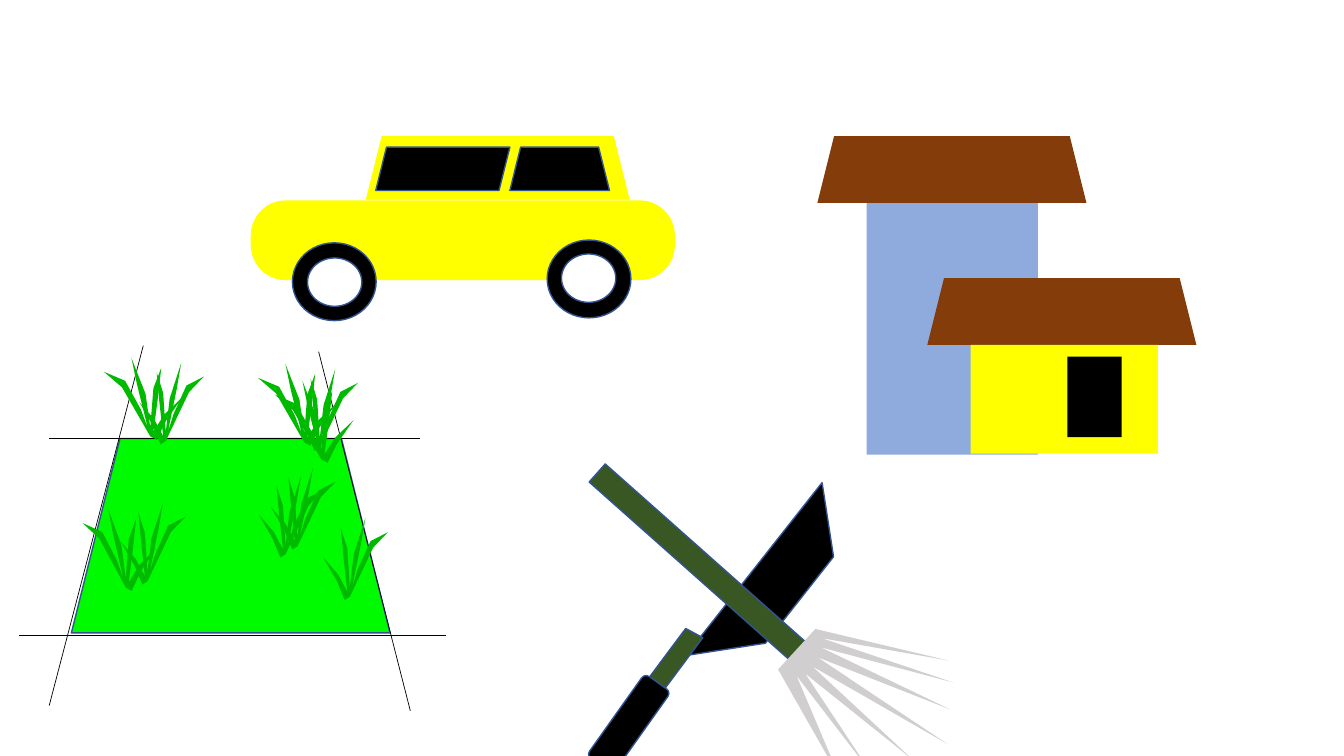
"""Draw a slide with a car, a house, a lawn and garden tools."""
from lxml import etree
from pptx import Presentation
from pptx.dml.color import RGBColor
from pptx.enum.shapes import MSO_CONNECTOR, MSO_SHAPE
from pptx.oxml.ns import qn
from pptx.util import Cm, Pt

BLACK = RGBColor(0x00, 0x00, 0x00)
WHITE = RGBColor(0xFF, 0xFF, 0xFF)
YELLOW = RGBColor(0xFF, 0xFF, 0x00)
WALL_BLUE = RGBColor(0x8F, 0xAA, 0xDC)
ROOF_BROWN = RGBColor(0x84, 0x3C, 0x0B)
LAWN_GREEN = RGBColor(0x00, 0xFA, 0x00)
GRASS_GREEN = RGBColor(0x00, 0xBA, 0x00)
HANDLE_GREEN = RGBColor(0x38, 0x57, 0x23)
RAKE_GREY = RGBColor(0xD0, 0xCE, 0xCE)
OUTLINE_BLUE = RGBColor(0x32, 0x54, 0x91)


def paint(sp, fill, outlined=False):
    sp.shadow.inherit = False
    sp.fill.solid()
    sp.fill.fore_color.rgb = fill
    if outlined:
        sp.line.color.rgb = OUTLINE_BLUE
        sp.line.width = Pt(1)
    else:
        sp.line.fill.background()


def add_polygon(shapes, points, fill):
    corners = [(Cm(x), Cm(y)) for x, y in points]
    builder = shapes.build_freeform(*corners[0])
    builder.add_line_segments(corners[1:], close=True)
    paint(builder.convert_to_shape(), fill)


prs = Presentation()
for name, value in {"slide_width": Cm(33.87), "slide_height": Cm(19.05)}.items():
    setattr(prs, name, value)
s = prs.slides.add_slide(prs.slide_layouts[6])
car, house, lawn, tools = [s.shapes.add_group_shape().shapes for _ in range(4)]

parts = [
    (car, MSO_SHAPE.ROUNDED_RECTANGLE, (6.32, 5.05, 10.69, 2.01), YELLOW, False, {"adj": 0.44}),
    (car, MSO_SHAPE.TRAPEZOID, (9.22, 3.43, 6.65, 1.6), YELLOW, False, {}),
    (car, MSO_SHAPE.OVAL, (7.37, 6.12, 2.11, 1.96), BLACK, True, {}),
    (car, MSO_SHAPE.OVAL, (13.79, 6.05, 2.11, 1.96), BLACK, True, {}),
    (car, MSO_SHAPE.PARALLELOGRAM, (9.47, 3.71, 3.38, 1.09), BLACK, True, {}),
    (car, MSO_SHAPE.TRAPEZOID, (12.85, 3.71, 2.51, 1.09), BLACK, True, {}),
    (car, MSO_SHAPE.OVAL, (7.75, 6.5, 1.37, 1.22), WHITE, True, {}),
    (car, MSO_SHAPE.OVAL, (14.15, 6.4, 1.37, 1.22), WHITE, True, {}),
    (house, MSO_SHAPE.RECTANGLE, (21.84, 4.32, 4.32, 7.14), WALL_BLUE, False, {}),
    (house, MSO_SHAPE.TRAPEZOID, (23.37, 7.01, 6.78, 1.68), ROOF_BROWN, False, {}),
    (house, MSO_SHAPE.RECTANGLE, (24.46, 8.69, 4.72, 2.74), YELLOW, False, {}),
    (house, MSO_SHAPE.TRAPEZOID, (20.6, 3.43, 6.78, 1.68), ROOF_BROWN, False, {}),
    (house, MSO_SHAPE.RECTANGLE, (26.9, 8.99, 1.37, 2.03), BLACK, False, {}),
    (lawn, MSO_SHAPE.TRAPEZOID, (1.8, 11.05, 8.03, 4.9), LAWN_GREEN, True, {}),
    (tools, MSO_SHAPE.DIAGONAL_STRIPE, (16.97, 12.45, 4.06, 3.78), BLACK, True, {"rotation": 171.2}),
    (tools, MSO_SHAPE.PARALLELOGRAM, (15.85, 15.6, 1.04, 3.73), HANDLE_GREEN, True,
     {"adj": 0.53, "rotation": 28.3}),
    (tools, MSO_SHAPE.ROUNDED_RECTANGLE, (15.44, 16.97, 0.81, 2.54), BLACK, True, {"rotation": 35.4}),
    (tools, MSO_SHAPE.RECTANGLE, (17.3, 10.77, 0.61, 6.83), HANDLE_GREEN, True, {"rotation": 311.6}),
]
for shapes, kind, box, fill, outlined, extras in parts:
    sp = shapes.add_shape(kind, *[Cm(length) for length in box])
    paint(sp, fill, outlined)
    for name, value in extras.items():
        if name == "adj":
            sp.adjustments[0] = value
        else:
            setattr(sp, name, value)

edge_lines = [
    (3.61, 8.71, 1.24, 17.78),
    (1.24, 11.05, 10.59, 11.05),
    (0.48, 16, 11.23, 16),
    (8.03, 8.86, 10.34, 17.91),
]
for ends in edge_lines:
    line = lawn.add_connector(MSO_CONNECTOR.STRAIGHT, *[Cm(length) for length in ends])
    line.line.color.rgb = BLACK
    line.line.width = Pt(0.5)
    etree.SubElement(line._element.spPr, qn("a:effectLst"))

TUFT_HEIGHT = 2.06
tuft_outline = [
    (0.59, 0.96), (0.23, 0.36), (0, 0.17), (0.27, 0.28), (0.47, 0.63), (0.56, 0.86),
    (0.42, 0.32), (0.35, 0), (0.53, 0.44), (0.59, 0.85), (0.63, 0.37), (0.73, 0.12),
    (0.69, 0.47), (0.63, 0.9), (0.77, 0.69), (1, 0.48), (0.79, 0.77), (0.67, 1),
]
tufts = [
    (2.62, 9.02, 1.98, False),
    (3.51, 9.14, 1.63, True),
    (6.5, 9.17, 1.98, False),
    (7.39, 9.3, 1.63, True),
    (6.93, 9.6, 1.98, False),
    (6.83, 11.79, 1.63, True),
    (3.05, 12.67, 1.63, True),
    (2.08, 12.83, 1.85, False),
    (6.53, 11.99, 1.63, True),
    (8.15, 13.06, 1.63, True),
]
for left, top, width, mirrored in tufts:
    points = [(left + width * (1 - x if mirrored else x), top + TUFT_HEIGHT * y)
              for x, y in tuft_outline]
    add_polygon(lawn, points, GRASS_GREEN)

rake_head = [
    (19.61, 16.87), (20.55, 15.85), (23.88, 16.64), (20.7, 16.08), (24.03, 17.2),
    (20.68, 16.31), (23.95, 17.88), (20.6, 16.56), (23.88, 18.75), (20.47, 16.79),
    (23.01, 19.15), (20.29, 16.97), (21.92, 19.43), (20.07, 17.02), (21.18, 19.63),
]
add_polygon(tools, rake_head, RAKE_GREY)

prs.save("out.pptx")
